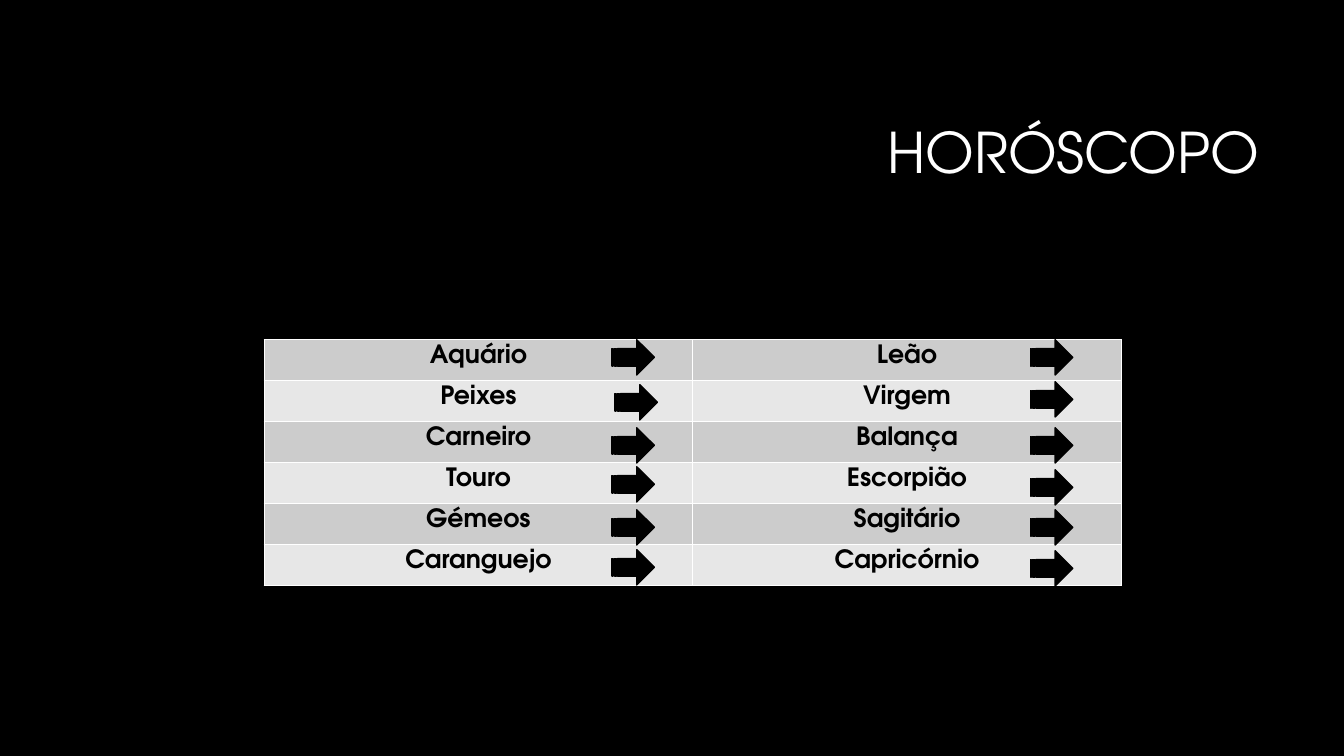
from lxml.etree import SubElement
from pptx import Presentation
from pptx.dml.color import RGBColor
from pptx.enum.shapes import MSO_SHAPE as Shape
from pptx.enum.text import MSO_ANCHOR as Anchor, PP_ALIGN as Align
from pptx.oxml.ns import qn
from pptx.util import Inches, Pt

# Content: each sign with its arrow's drop below the row top, in inches
TITLE = "HORÓSCOPO"
SIGNS = [
    [("Aquário", 0), ("Leão", 0)],
    [("Peixes", 0.04), ("Virgem", 0.01)],
    [("Carneiro", 0.06), ("Balança", 0.06)],
    [("Touro", 0.04), ("Escorpião", 0.07)],
    [("Gémeos", 0.06), ("Sagitário", 0.06)],
    [("Caranguejo", 0.05), ("Capricórnio", 0.06)],
]
ARROW_NUDGE = {"Peixes": 0.03}

THEME = {
    "font": "TeX Gyre Adventor",
    "title_size": Pt(40), "sign_size": Pt(18), "rule": Pt(1),
    "ink": RGBColor.from_string("000000"),
    "paper": RGBColor.from_string("FFFFFF"),
    "bands": [RGBColor.from_string(c) for c in ("CCCCCC", "E7E7E7")],
}

# Grid, in inches
LEFT, TOP, COLUMN = 2.62, 3.37, 4.25
ROW = 2.44 / len(SIGNS)
ARROW_INDENT = (3.45, 3.35)
ARROW_W, ARROW_H = 0.42, 0.35


def style(target, **values):
    for name, value in values.items():
        setattr(target, name, value)


def write(frame, text, align, size, color, bold=False):
    frame.text = text
    line = frame.paragraphs[0]
    line.alignment = align
    style(line.runs[0].font, name=THEME["font"], size=size, bold=bold)
    line.runs[0].font.color.rgb = color
    return line


def add_borders(cell):
    props = cell._tc.get_or_add_tcPr()
    for place, side in enumerate(("lnL", "lnR", "lnT", "lnB")):
        border = SubElement(props, qn(f"a:{side}"), w=str(THEME["rule"]))
        fill = SubElement(border, qn("a:solidFill"))
        SubElement(fill, qn("a:srgbClr"), val=str(THEME["paper"]))
        props.insert(place, border)


def add_arrow(slide, x, y):
    arrow = slide.shapes.add_shape(
        Shape.STRIPED_RIGHT_ARROW, *map(Inches, (x, y, ARROW_W, ARROW_H)))
    arrow.shadow.inherit = False
    arrow.fill.solid()
    arrow.fill.fore_color.rgb = THEME["ink"]
    arrow.line.color.rgb = THEME["ink"]
    arrow.line.width = THEME["rule"]


def main():
    deck = Presentation()
    style(deck, slide_width=Inches(13.33), slide_height=Inches(7.5))
    slide = deck.slides.add_slide(deck.slide_layouts[5])
    slide.background.fill.solid()
    slide.background.fill.fore_color.rgb = THEME["ink"]

    # Title
    title = slide.shapes.title
    style(title, left=Inches(3.17), top=Inches(0.84),
          width=Inches(9.42), height=Inches(1.41))
    heading = write(title.text_frame, TITLE, Align.RIGHT,
                    THEME["title_size"], THEME["paper"])
    heading.line_spacing = 0.9
    title.text_frame.vertical_anchor = Anchor.MIDDLE

    # Table of signs
    rows, columns = len(SIGNS), len(SIGNS[0])
    signs = slide.shapes.add_table(
        rows, columns, Inches(LEFT), Inches(TOP),
        Inches(COLUMN * columns), Inches(ROW * rows)).table
    signs.first_row = False
    for r, pair in enumerate(SIGNS):
        for c, (sign, _) in enumerate(pair):
            cell = signs.cell(r, c)
            style(cell, margin_top=Inches(0.05), margin_bottom=Inches(0.05),
                  vertical_anchor=Anchor.TOP)
            cell.fill.solid()
            cell.fill.fore_color.rgb = THEME["bands"][r % 2]
            add_borders(cell)
            write(cell.text_frame, sign, Align.CENTER,
                  THEME["sign_size"], THEME["ink"], bold=True)

    # Arrows, one column after the other
    for c, indent in enumerate(ARROW_INDENT):
        for r, pair in enumerate(SIGNS):
            sign, drop = pair[c]
            x = LEFT + COLUMN * c + indent + ARROW_NUDGE.get(sign, 0)
            add_arrow(slide, x, TOP + ROW * r + drop)

    deck.save("out.pptx")


if __name__ == "__main__":
    main()
